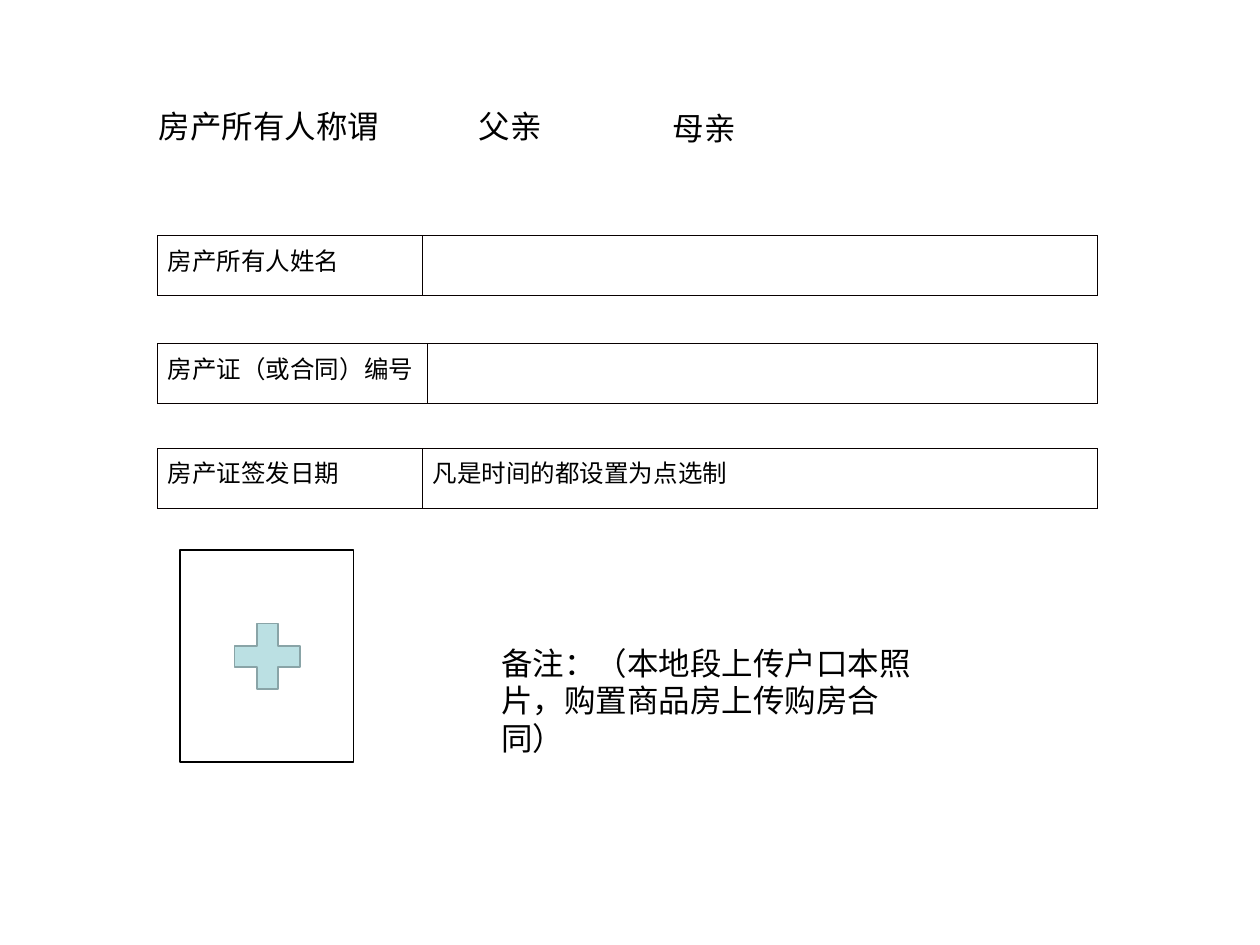
"""Build a property-ownership form slide with labelled fields and an upload box."""
from dataclasses import dataclass

from lxml import etree
from pptx import Presentation
from pptx.dml.color import RGBColor
from pptx.enum import shapes, text
from pptx.oxml import ns
from pptx import util as u

COLOURS = {
    "ink": "000000",
    "border": "080000",
    "paper": "FFFFFF",
    "plus": "BBE0E3",
    "plus_edge": "89A4A7",
}
LABEL_FONT = "Arial"
FIELD_FONT = "Noto Sans CJK SC"
FIELD_LEFT, FIELD_WIDTH, FIELD_HEIGHT = 3.18, 18.94, 1.2


@dataclass(frozen=True)
class Label:
    wording: str
    left: float
    top: float
    width: float
    height: float = 1.02
    wrap: bool = False


@dataclass(frozen=True)
class Field:
    name: str
    value: str
    top: float
    name_width: float = 5.34


@dataclass(frozen=True)
class Figure:
    kind: shapes.MSO_SHAPE
    left: float
    top: float
    width: float
    height: float
    fill: str
    line: str


LABELS = [
    Label("房产所有人称谓", 2.95, 2.03, 5.26),
    Label("父亲", 9.4, 2.03, 2.16),
    Label("母亲", 13.31, 2.08, 2.16),
    Label("备注：（本地段上传户口本照片，购置商品房上传购房合同）", 9.86, 12.85, 8.84, 2.54, True),
]
FIELDS = [
    Field("房产所有人姓名", "", 4.75),
    Field("房产证（或合同）编号", "", 6.93, 5.43),
    Field("房产证签发日期", "凡是时间的都设置为点选制", 9.04),
]
UPLOAD = [
    Figure(shapes.MSO_SHAPE.RECTANGLE, 3.63, 11.09, 3.5, 4.27, "paper", "ink"),
    Figure(shapes.MSO_SHAPE.MATH_PLUS, 4.49, 12.33, 1.8, 1.8, "plus", "plus_edge"),
]


def colour(name: str) -> RGBColor:
    """Return a named palette colour."""
    return RGBColor.from_string(COLOURS[name])


def write(para, wording: str, size: float, font: str) -> None:
    """Add one run with the font set for both Latin and East Asian text."""
    span = para.add_run()
    span.text = wording
    span.font.size = u.Pt(size)
    span.font.name = font
    span.font.color.rgb = colour("ink")
    etree.SubElement(span.font._element, ns.qn("a:ea"), typeface=font)


def draw_label(page, label: Label) -> None:
    """Draw a free-standing text label."""
    box = page.shapes.add_textbox(
        u.Cm(label.left), u.Cm(label.top), u.Cm(label.width), u.Cm(label.height)
    )
    box.text_frame.word_wrap = label.wrap
    box.text_frame.auto_size = text.MSO_AUTO_SIZE.SHAPE_TO_FIT_TEXT
    write(box.text_frame.paragraphs[0], label.wording, 18, LABEL_FONT)


def outline_cell(cell) -> None:
    """Give all four sides of a cell a thin border."""
    properties = cell._tc.get_or_add_tcPr()
    for position, side in enumerate(("lnL", "lnR", "lnT", "lnB")):
        edge = etree.Element(ns.qn(f"a:{side}"), w=str(u.Pt(0.45)))
        fill = etree.SubElement(edge, ns.qn("a:solidFill"))
        etree.SubElement(fill, ns.qn("a:srgbClr"), val=COLOURS["border"])
        properties.insert(position, edge)


def draw_field(page, field: Field) -> None:
    """Draw a one-row table holding a field name and its value."""
    table = page.shapes.add_table(
        1, 2, u.Cm(FIELD_LEFT), u.Cm(field.top), u.Cm(FIELD_WIDTH), u.Cm(FIELD_HEIGHT)
    ).table
    table.first_row = table.horz_banding = False
    table.columns[0].width = u.Cm(field.name_width)
    table.columns[1].width = u.Cm(FIELD_WIDTH - field.name_width)
    for cell, wording in zip(table.rows[0].cells, (field.name, field.value)):
        cell.fill.background()
        cell.margin_left = cell.margin_right = u.Cm(0.2)
        cell.margin_top = cell.margin_bottom = u.Cm(0.12)
        outline_cell(cell)
        if wording:
            write(cell.text_frame.paragraphs[0], wording, 14, FIELD_FONT)


def draw_figure(group, figure: Figure) -> None:
    """Draw a filled and outlined preset shape inside a group."""
    shape = group.shapes.add_shape(
        figure.kind, u.Cm(figure.left), u.Cm(figure.top), u.Cm(figure.width), u.Cm(figure.height)
    )
    shape.shadow.inherit = False
    shape.fill.solid()
    shape.fill.fore_color.rgb = colour(figure.fill)
    shape.line.color.rgb = colour(figure.line)
    shape.line.width = u.Pt(1)


def main() -> None:
    """Build and save the deck."""
    deck = Presentation()
    deck.slide_width, deck.slide_height = u.Cm(25.4), u.Cm(19.05)
    page = deck.slides.add_slide(deck.slide_layouts[6])
    for field in FIELDS:
        draw_field(page, field)
    for label in LABELS:
        draw_label(page, label)
    upload_box = page.shapes.add_group_shape()
    for figure in UPLOAD:
        draw_figure(upload_box, figure)
    deck.save("out.pptx")


if __name__ == "__main__":
    main()
